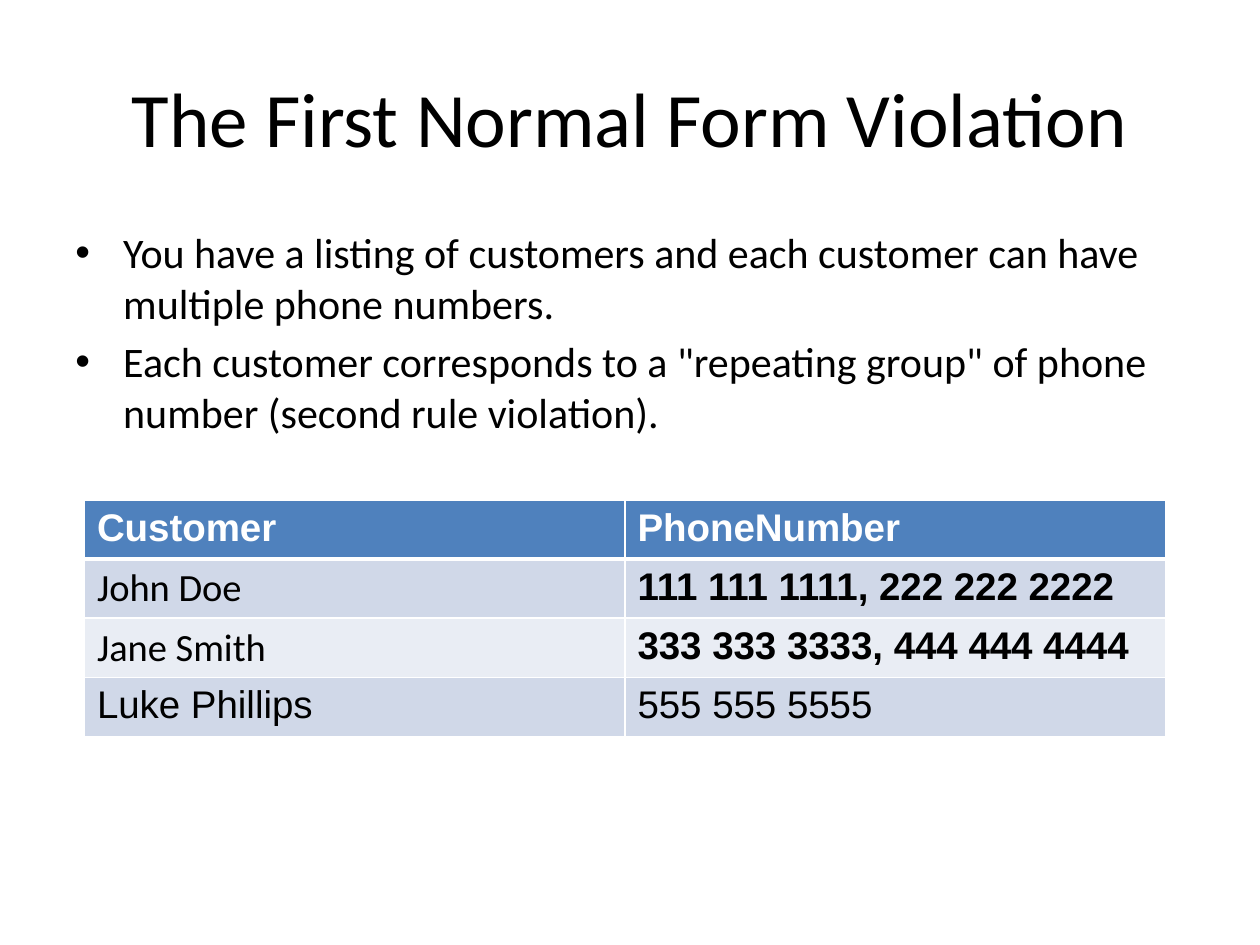
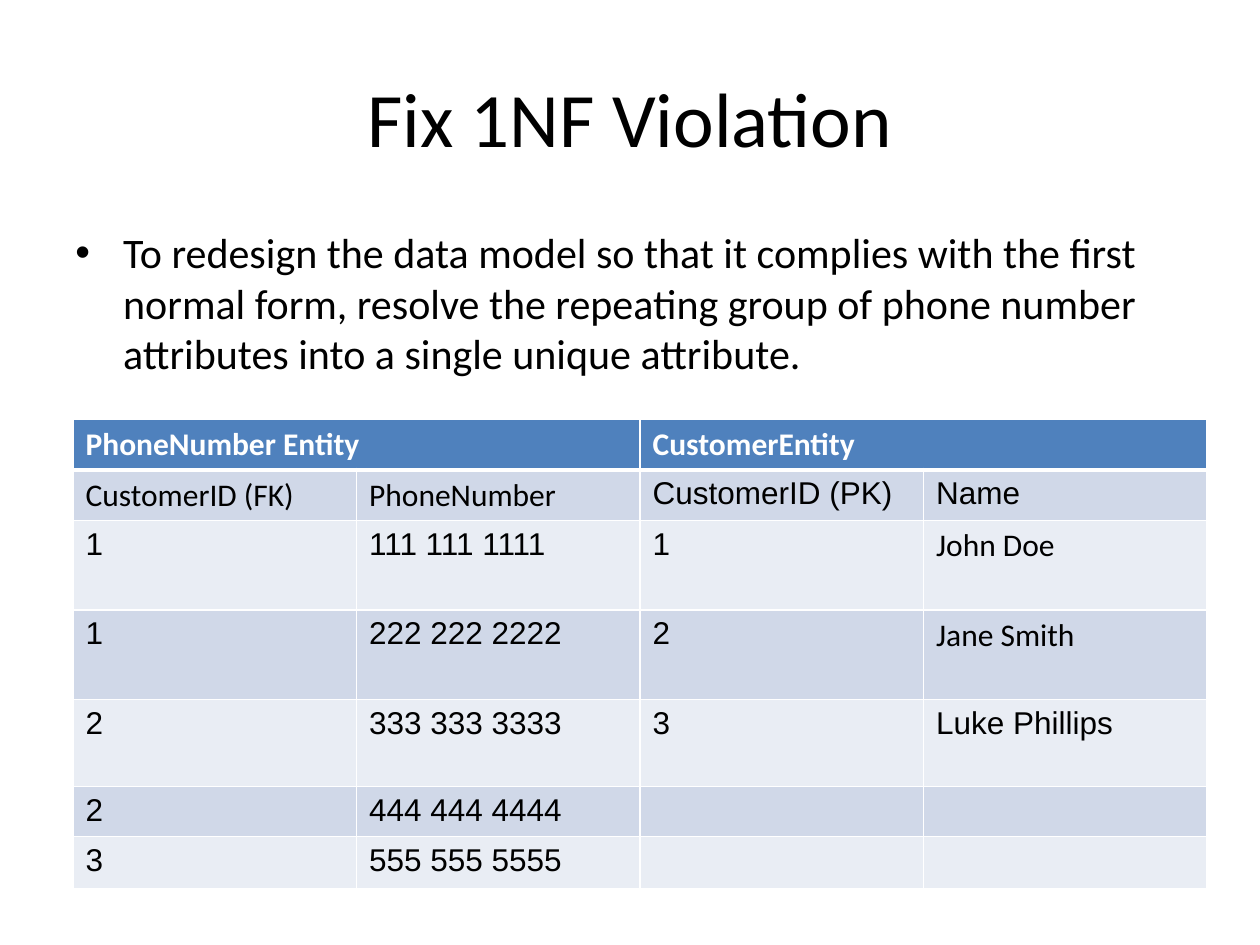
from lxml import etree
from pptx import Presentation
from pptx.dml.color import RGBColor
from pptx.enum.text import MSO_ANCHOR, PP_ALIGN
from pptx.oxml.ns import qn
from pptx.util import Inches, Pt

MIDDLE = MSO_ANCHOR.MIDDLE
CENTER = PP_ALIGN.CENTER
COLORS = {
    "text": "000000",
    "header": "4F81BD",
    "odd": "D0D8E8",
    "even": "E9EDF4",
    "white": "FFFFFF",
}
HEADING_FONT = "Calibri"
DATA_FONT = "Arial"

SLIDES = [
    {
        "title": "The First Normal Form Violation",
        "bullets": [
            "You have a listing of customers and each customer can have multiple phone numbers.",
            'Each customer corresponds to a "repeating group" of phone number (second rule violation).',
        ],
        "corner": (0.67, 3.97),
        "column_width": 4.29,
        "row_heights": [0.43, 0.47, 0.47, 0.44],
        "size": 22,
        "rows": [
            ["Customer", "PhoneNumber"],
            ["John Doe", "111 111 1111, 222 222 2222"],
            ["Jane Smith", "333 333 3333, 444 444 4444"],
            ["Luke Phillips", "555 555 5555"],
        ],
        "merged_headers": [],
        "calibri_cells": {(1, 0), (2, 0)},
        "bold_cells": {(1, 1), (2, 1)},
    },
    {
        "title": "Fix 1NF Violation",
        "bullets": [
            "To redesign the data model so that it complies with the first normal form, "
            "resolve the repeating group of phone number attributes into a single unique attribute.",
        ],
        "corner": (0.58, 3.33),
        "column_width": 2.25,
        "row_heights": [0.4, 0.4, 0.71, 0.71, 0.69, 0.4, 0.41],
        "size": 18,
        "rows": [
            ["PhoneNumber Entity", "", "CustomerEntity", ""],
            ["CustomerID (FK)", "PhoneNumber", "CustomerID (PK)", "Name"],
            ["1", "111 111 1111", "1", "John Doe"],
            ["1", "222 222 2222", "2", "Jane Smith"],
            ["2", "333 333 3333", "3", "Luke Phillips"],
            ["2", "444 444 4444", "", ""],
            ["3", "555 555 5555", "", ""],
        ],
        "merged_headers": [(0, 1), (2, 3)],
        "calibri_cells": {(0, 0), (0, 2), (1, 0), (1, 1), (2, 3), (3, 3)},
        "bold_cells": set(),
    },
]


def style_text(paragraph, font_name, size, color, bold=False):
    for run in paragraph.runs:
        run.font.name = font_name
        run.font.size = Pt(size)
        run.font.bold = bold
        run.font.color.rgb = RGBColor.from_string(COLORS[color])


def add_border(cell, side, width):
    line = etree.SubElement(cell._tc.get_or_add_tcPr(), qn(f"a:ln{side}"), w=str(Pt(width)))
    fill = etree.SubElement(line, qn("a:solidFill"))
    etree.SubElement(fill, qn("a:srgbClr"), val=COLORS["white"])


prs = Presentation()
prs.slide_width = Inches(10)
prs.slide_height = Inches(7.5)

for content in SLIDES:
    slide = prs.slides.add_slide(prs.slide_layouts[6])

    title = slide.shapes.add_textbox(Inches(0.5), Inches(0.3), Inches(9), Inches(1.25)).text_frame
    title.word_wrap = True
    title.vertical_anchor = MIDDLE
    title.text = content["title"]
    title.paragraphs[0].alignment = CENTER
    style_text(title.paragraphs[0], HEADING_FONT, 44, "text")

    body = slide.shapes.add_textbox(Inches(0.5), Inches(1.75), Inches(9), Inches(4.95)).text_frame
    body.word_wrap = True
    body.text = "\n".join(content["bullets"])
    for index, bullet in enumerate(body.paragraphs):
        properties = bullet._p.get_or_add_pPr()
        properties.set("marL", str(Inches(0.38)))
        properties.set("indent", str(Inches(-0.38)))
        etree.SubElement(properties, qn("a:buFont"), typeface="Arial")
        etree.SubElement(properties, qn("a:buChar"), char="•")
        if index:
            bullet.space_before = Pt(4.8)
        style_text(bullet, HEADING_FONT, 24, "text")

    rows = content["rows"]
    column_count = len(rows[0])
    left, top = content["corner"]
    table = slide.shapes.add_table(
        len(rows), column_count, Inches(left), Inches(top),
        Inches(content["column_width"] * column_count), Inches(sum(content["row_heights"])),
    ).table
    for column in table.columns:
        column.width = Inches(content["column_width"])
    for row, height in zip(table.rows, content["row_heights"]):
        row.height = Inches(height)

    for r, values in enumerate(rows):
        band = "header" if r == 0 else "odd" if r % 2 else "even"
        for c, value in enumerate(values):
            cell = table.cell(r, c)
            for side in "LRTB":
                under_header = (r, side) in [(0, "B"), (1, "T")]
                add_border(cell, side, 3 if under_header else 1)
            cell.fill.solid()
            cell.fill.fore_color.rgb = RGBColor.from_string(COLORS[band])
            if value:
                cell.text = value
                style_text(
                    cell.text_frame.paragraphs[0],
                    HEADING_FONT if (r, c) in content["calibri_cells"] else DATA_FONT,
                    content["size"],
                    "white" if r == 0 else "text",
                    r == 0 or (r, c) in content["bold_cells"],
                )
    for first, last in content["merged_headers"]:
        table.cell(0, first).merge(table.cell(0, last))

prs.save("out.pptx")
